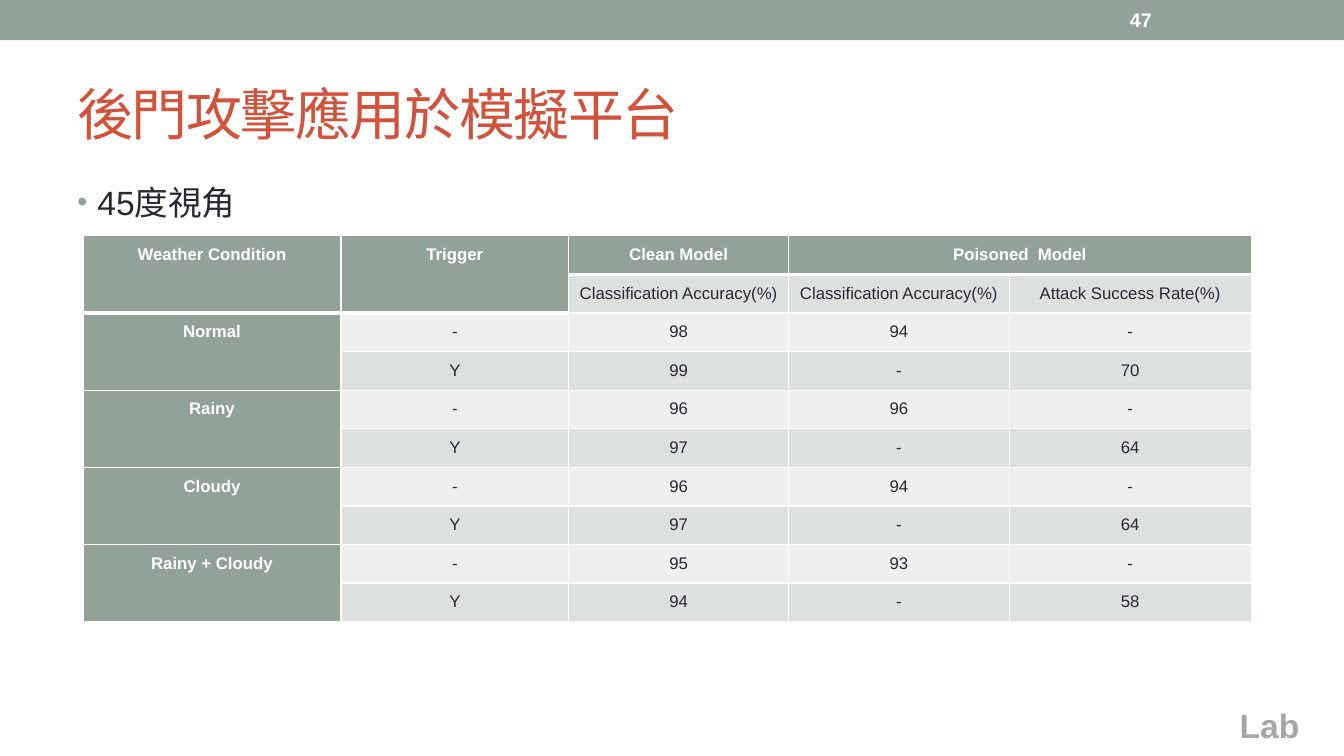
import pptx
import pptx.util
import pptx.dml.color
import pptx.enum.text
import pptx.enum.shapes
import pptx.oxml
import pptx.oxml.ns

Pt = pptx.util.Pt
Align = pptx.enum.text.PP_ALIGN
Anchor = pptx.enum.text.MSO_ANCHOR
NAMESPACE = pptx.oxml.ns.nsdecls("a")
COLORS = {"sage": "93A299", "brick": "D2533C", "ink": "292934", "white": "FFFFFF",
          "gray": "A6A6A6", "band_dark": "DCE0DE", "band_light": "EEF0EF"}


def style_text(frame, size, color, bold=False, align=Align.LEFT, anchor=Anchor.TOP):
    frame.word_wrap = True
    frame.auto_size = pptx.enum.text.MSO_AUTO_SIZE.NONE
    frame.vertical_anchor = anchor
    para = frame.paragraphs[0]
    para.alignment = align
    para.space_before = Pt(0)
    for span in para.runs:
        span.font.name = "Arial"
        span.font.size = Pt(size)
        span.font.bold = bold
        span.font.color.rgb = pptx.dml.color.RGBColor.from_string(COLORS[color])


def place(box, left, top, width, height):
    box.left, box.top, box.width, box.height = Pt(left), Pt(top), Pt(width), Pt(height)


deck = pptx.Presentation()
deck.slide_width, deck.slide_height = Pt(960), Pt(540)
page = deck.slides.add_slide(deck.slide_layouts[1])

# Top band
band = page.shapes.add_shape(pptx.enum.shapes.MSO_SHAPE.RECTANGLE, 0, 0, Pt(960), Pt(28.8))
band.shadow.inherit = False
band.fill.solid()
band.fill.fore_color.rgb = pptx.dml.color.RGBColor.from_string(COLORS["sage"])
band.line.fill.background()

# Page number and lab mark
number = page.shapes.add_textbox(Pt(800), Pt(1.4), Pt(112), Pt(26))
number.text_frame.text = "47"
style_text(number.text_frame, 14, "white", bold=True, anchor=Anchor.MIDDLE)
lab = page.shapes.add_textbox(Pt(878.4), Pt(499.7), Pt(158.4), Pt(36))
lab.text_frame.text = "Lab"
style_text(lab.text_frame, 24, "gray", bold=True)

# Title
title = page.shapes.title
place(title, 48, 42, 864, 78)
title.text_frame.text = "後門攻擊應用於模擬平台"
style_text(title.text_frame, 40, "brick", anchor=Anchor.MIDDLE)
title.text_frame.paragraphs[0].runs[0].font._element.set("spc", "-100")

# Bullet
body = page.placeholders[1]
place(body, 48, 126, 864, 384)
body.text_frame.text = "45度視角"
properties = body.text_frame.paragraphs[0]._p.get_or_add_pPr()
properties.set("marL", str(Pt(14.4)))
properties.set("indent", str(-Pt(14.4)))
for markup in (f'<a:buClr {NAMESPACE}><a:srgbClr val="{COLORS["sage"]}"/></a:buClr>',
               f'<a:buSzPct {NAMESPACE} val="85000"/>',
               f'<a:buFont {NAMESPACE} typeface="Arial"/>',
               f'<a:buChar {NAMESPACE} char="•"/>'):
    properties.append(pptx.oxml.parse_xml(markup))
style_text(body.text_frame, 24, "ink")

# Table content: two rows per weather condition
rows = [["Weather Condition", "Trigger", "Clean Model", "Poisoned  Model", ""],
        ["", "", "Classification Accuracy(%)", "Classification Accuracy(%)",
         "Attack Success Rate(%)"]]
for weather, clean, clean_trigger, poisoned, attack in (
        ("Normal", 98, 99, 94, 70),
        ("Rainy", 96, 97, 96, 64),
        ("Cloudy", 96, 97, 94, 64),
        ("Rainy + Cloudy", 95, 94, 93, 58)):
    rows.append([weather, "-", str(clean), str(poisoned), "-"])
    rows.append(["", "Y", str(clean_trigger), "-", str(attack)])

# Table grid
widths = [184.3, 162.7, 157, 157.7, 172.8]
row_height = 27.58
table = page.shapes.add_table(len(rows), len(widths), Pt(59.3), Pt(168.5),
                              Pt(sum(widths)), Pt(row_height * len(rows))).table
for column, width in zip(table.columns, widths):
    column.width = Pt(width)
for row in table.rows:
    row.height = Pt(row_height)
for r in range(0, len(rows), 2):
    table.cell(r, 0).merge(table.cell(r + 1, 0))
table.cell(0, 1).merge(table.cell(1, 1))
table.cell(0, 3).merge(table.cell(0, 4))

# Table cells
for r, row in enumerate(rows):
    for c, text in enumerate(row):
        cell = table.cell(r, c)
        header_end = 1 if c < 2 else 0
        strong = c == 0 or r <= header_end
        fill = "sage" if strong else "band_dark" if r % 2 else "band_light"
        cell.fill.solid()
        cell.fill.fore_color.rgb = pptx.dml.color.RGBColor.from_string(COLORS[fill])
        cell.margin_left = cell.margin_right = Pt(5)
        cell.margin_top = cell.margin_bottom = Pt(0)
        if text:
            cell.text_frame.text = text
            style_text(cell.text_frame, 12, "white" if strong else "ink", strong, Align.CENTER)
            cell.text_frame.paragraphs[0].line_spacing = 1.5
        # White rules, thicker under the header
        weights = {"L": 1, "R": 1, "T": 3 if r == header_end + 1 else 1,
                   "B": 3 if r <= header_end else 1}
        for index, (side, weight) in enumerate(weights.items()):
            cell._tc.get_or_add_tcPr().insert(index, pptx.oxml.parse_xml(
                f'<a:ln{side} {NAMESPACE} w="{Pt(weight)}"><a:solidFill>'
                f'<a:srgbClr val="{COLORS["white"]}"/></a:solidFill></a:ln{side}>'))

deck.save("out.pptx")
